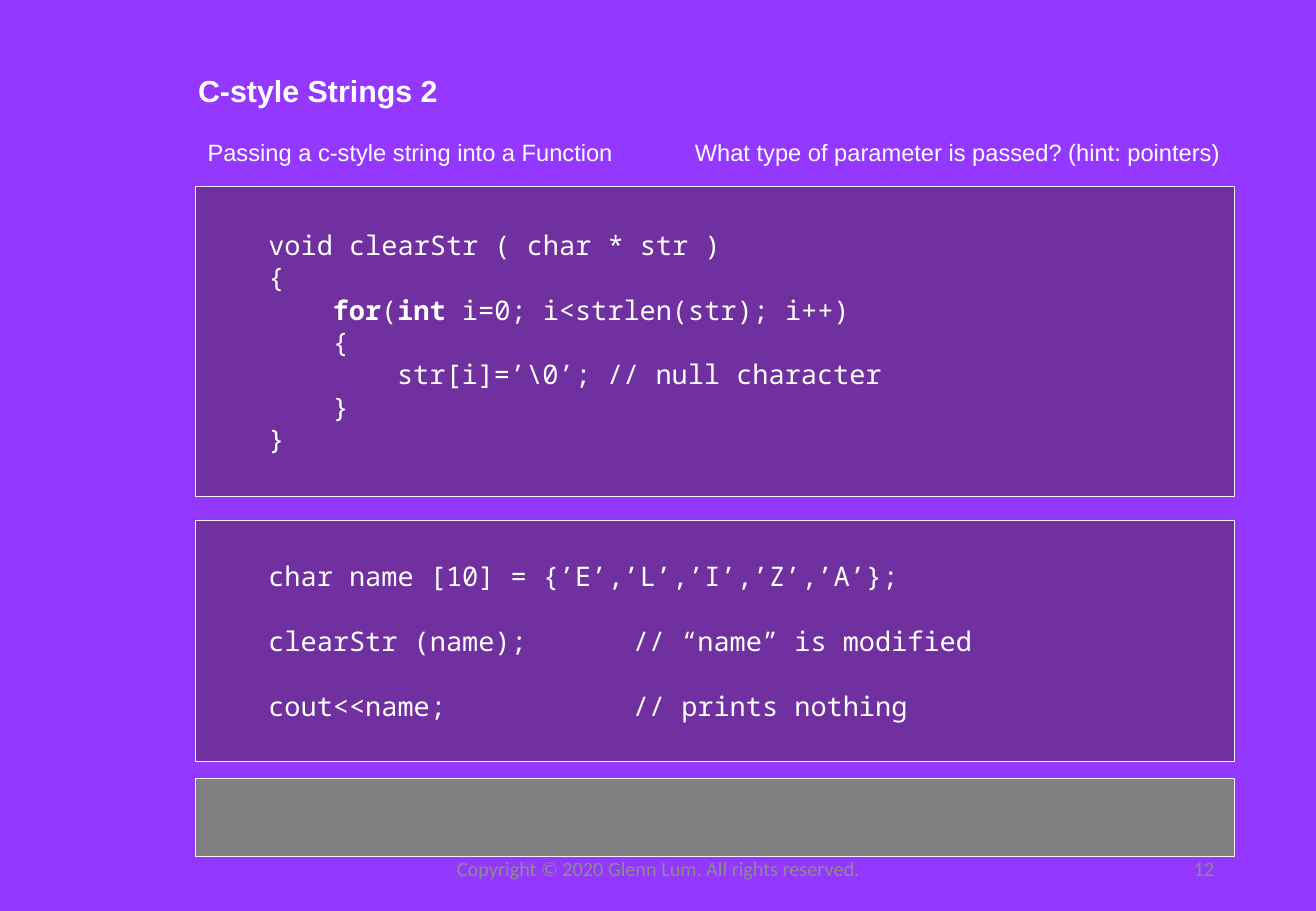
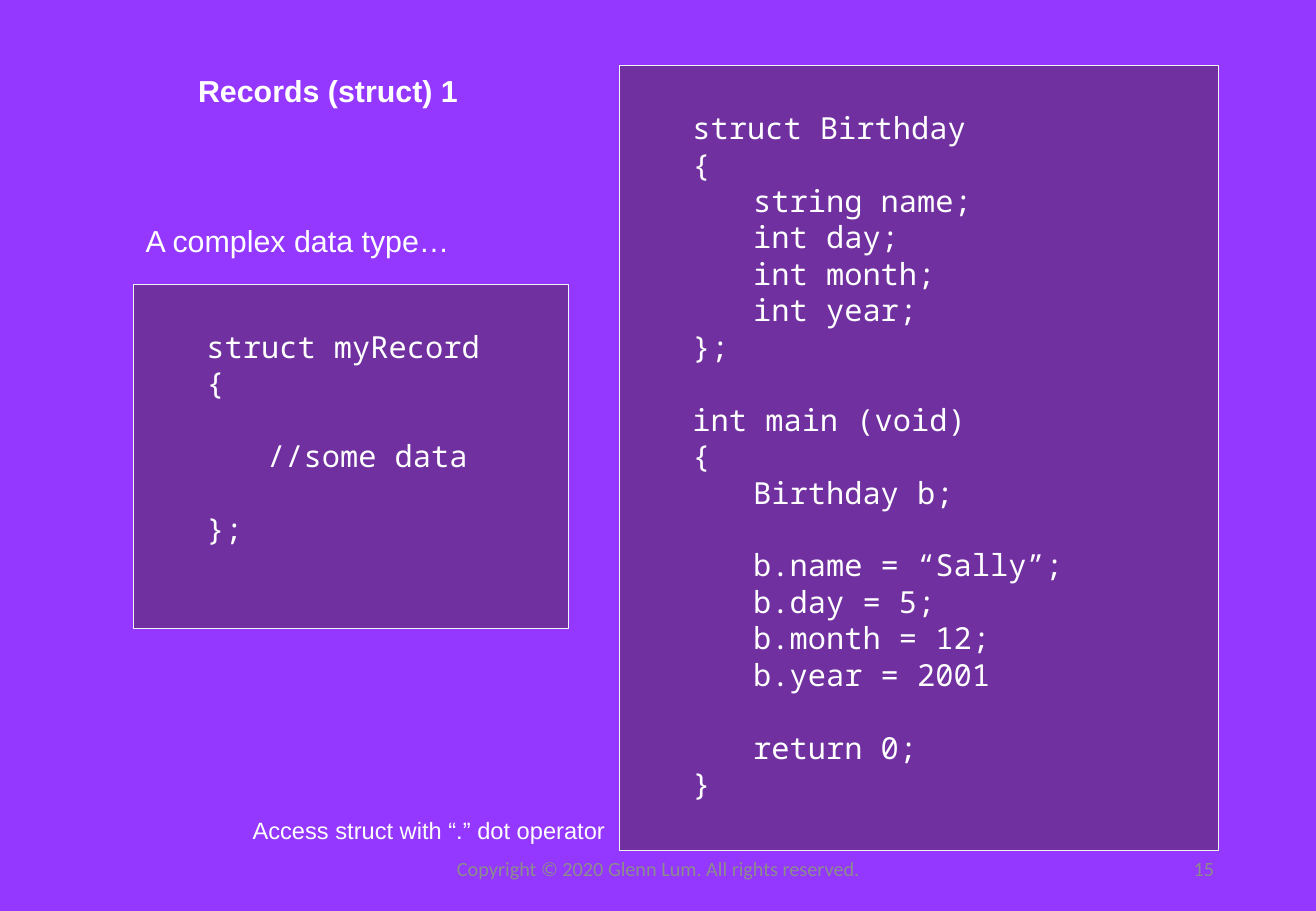
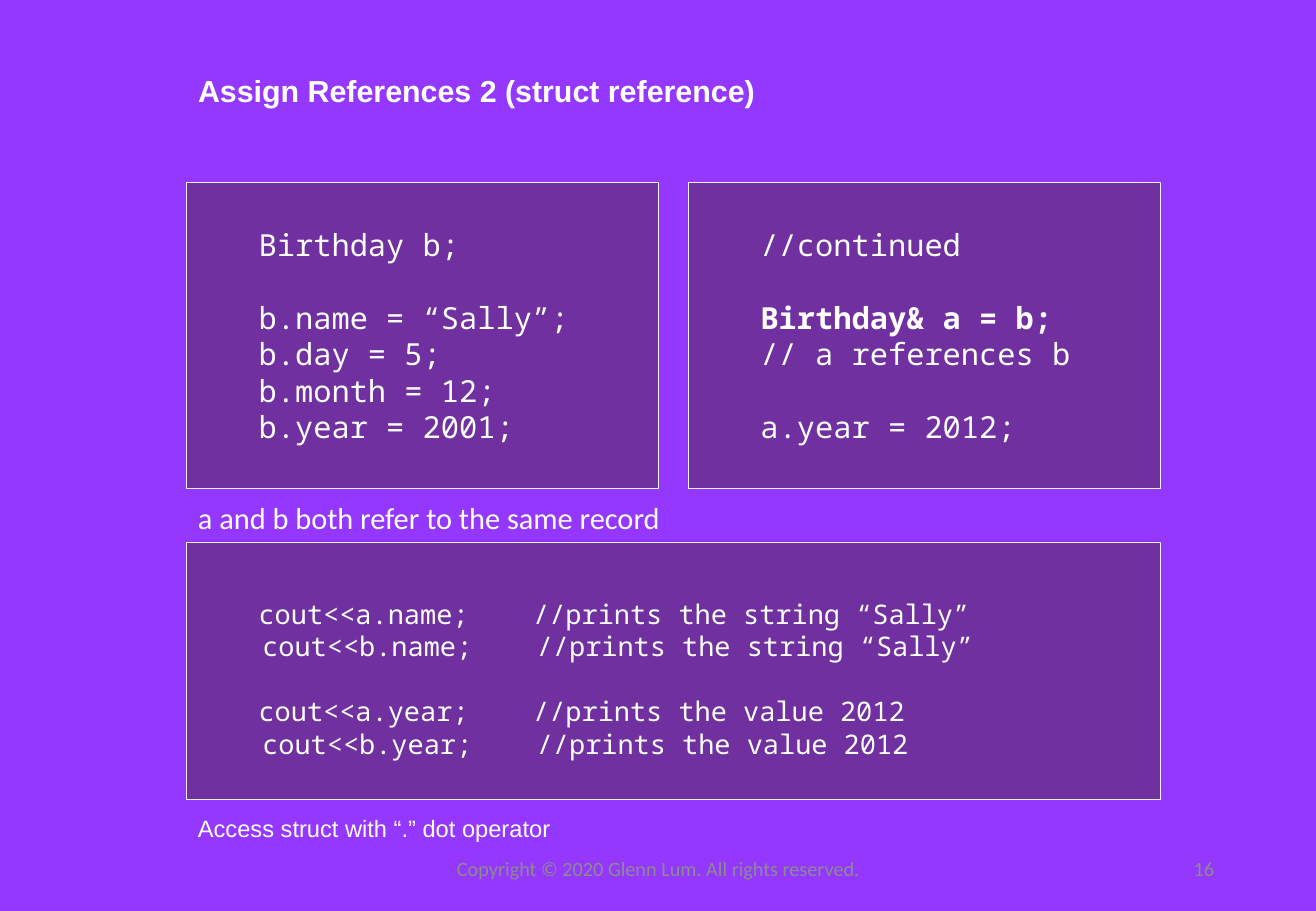
from pptx import Presentation
from pptx.dml.color import RGBColor
from pptx.enum.shapes import MSO_SHAPE
from pptx.enum.text import MSO_ANCHOR, MSO_AUTO_SIZE, PP_ALIGN
from pptx.util import Emu, Pt

RECTANGLE = MSO_SHAPE.RECTANGLE
TOP, MIDDLE = MSO_ANCHOR.TOP, MSO_ANCHOR.MIDDLE
LEFT, CENTER, RIGHT = PP_ALIGN.LEFT, PP_ALIGN.CENTER, PP_ALIGN.RIGHT
GROW = MSO_AUTO_SIZE.SHAPE_TO_FIT_TEXT

PX = 9144
TITLE_ONLY = 5
CODE_INDENT = 50
LINE_HEIGHT = 1.2
CODE_FONT = "Noto Sans Mono"
COPYRIGHT = "Copyright © 2020 Glenn Lum. All rights reserved."
COLORS = {
    "page": "9437FF",
    "code": "7030A0",
    "empty": "808080",
    "outline": "F2F2F2",
    "text": "FFFFFF",
    "footer": "8C8C8C",
}

SLIDES = [
    {
        "title": ("C-style Strings 2", 219),
        "number": "12",
        "labels": [
            ("Passing a c-style string into a Function", 161, 109, 355, 34, 14, "Arial"),
            ("What type of parameter is passed? (hint: pointers)", 562, 109, 454, 34, 14, "Arial"),
        ],
        "panels": [
            ((161, 153, 855, 256), "code", 16, 35, 53, [
                "void clearStr ( char * str )",
                "{",
                "\t**for**(**int **i=0; i<strlen(str); i++)",
                "\t{",
                "\t\tstr[i]=’\\0’; // null character",
                "\t}",
                "}",
            ]),
            ((161, 428, 855, 199), "code", 16, 33, 53, [
                "char name [10] = {’E’,’L’,’I’,’Z’,’A’};",
                "",
                "clearStr (name);\t\t// “name” is modified",
                "",
                "cout<<name; \t\t\t// prints nothing",
            ]),
            ((161, 641, 855, 64), "empty", 16, 5, 53, []),
        ],
    },
    {
        "title": ("Records (struct) 1", 236),
        "number": "15",
        "labels": [
            ("A complex data type…", 110, 178, 273, 40, 18, "Arial"),
            ("Access struct with “.” dot operator", 198, 667, 312, 34, 14, "Arial"),
        ],
        "panels": [
            ((510, 54, 493, 646), "code", 18, 36, 50, [
                "struct Birthday",
                "{",
                "\tstring name;",
                "\tint day;",
                "\tint month;",
                "\tint year;",
                "};",
                "",
                "int main (void)",
                "{",
                "\tBirthday b;",
                "",
                "\tb.name = “Sally”;",
                "\tb.day = 5;",
                "\tb.month = 12;",
                "\tb.year = 2001",
                "",
                "\treturn 0;",
                "}",
            ]),
            ((110, 234, 358, 283), "code", 18, 36, 50, [
                "struct myRecord",
                "{",
                "",
                "\t//some data",
                "",
                "};",
            ]),
        ],
    },
    {
        "title": ("Assign References 2 (struct reference)", 483),
        "number": "16",
        "labels": [
            ("a and b both refer to the same record", 153, 406, 405, 40, 18, "Calibri"),
            ("Access struct with “.” dot operator", 153, 665, 312, 34, 14, "Arial"),
        ],
        "panels": [
            ((153, 150, 389, 252), "code", 18, 36, 50, [
                "Birthday b;",
                "",
                "b.name = “Sally”;",
                "b.day = 5;",
                "b.month = 12;",
                "b.year = 2001;",
            ]),
            ((566, 150, 389, 252), "code", 18, 36, 50, [
                "//continued",
                "",
                "**Birthday& a = b;**",
                "// a references b",
                "",
                "a.year = 2012;",
            ]),
            ((153, 446, 802, 212), "code", 16, 46, 3, [
                "cout<<a.name;    //prints the string “Sally”",
                "\tcout<<b.name;    //prints the string “Sally”",
                "",
                "cout<<a.year;    //prints the value 2012",
                "\tcout<<b.year;    //prints the value 2012",
            ]),
        ],
    },
]


def write(para, text, font, size, color="text", align=LEFT):
    para.alignment = align
    for index, part in enumerate(text.split("**")):
        if part:
            span = para.add_run()
            span.text = part
            span.font.name = font
            span.font.size = Pt(size)
            span.font.bold = index % 2 == 1
            span.font.color.rgb = RGBColor.from_string(COLORS[color])


def place(box, left, top, width, height):
    box.left, box.top = Emu(left * PX), Emu(top * PX)
    box.width, box.height = Emu(width * PX), Emu(height * PX)
    return box.text_frame


deck = Presentation()
deck.slide_width, deck.slide_height = Emu(1083 * PX), Emu(750 * PX)
backdrop = deck.slide_master.background.fill
backdrop.solid()
backdrop.fore_color.rgb = RGBColor.from_string(COLORS["page"])

for content in SLIDES:
    page = deck.slides.add_slide(deck.slide_layouts[TITLE_ONLY])
    title, title_width = content["title"]
    frame = place(page.shapes.title, 153, 54, title_width, 40)
    frame.word_wrap = False
    frame.auto_size = GROW
    frame.vertical_anchor = TOP
    write(frame.paragraphs[0], f"**{title}**", "Arial", 18)

    for bounds, fill, size, inset, step, lines in content["panels"]:
        panel = page.shapes.add_shape(RECTANGLE, 0, 0, 0, 0)
        frame = place(panel, *bounds)
        panel.shadow.inherit = False
        panel.fill.solid()
        panel.fill.fore_color.rgb = RGBColor.from_string(COLORS[fill])
        panel.line.color.rgb = RGBColor.from_string(COLORS["outline"])
        panel.line.width = Pt(0.25)
        frame.vertical_anchor = TOP
        frame.margin_top = Emu(inset * PX)
        para = frame.paragraphs[0]
        gap = 0
        for index, line in enumerate(lines):
            if not line:
                gap = size * LINE_HEIGHT
                continue
            if index:
                para = frame.add_paragraph()
            code = line.lstrip("\t")
            level = len(line) - len(code)
            properties = para._p.get_or_add_pPr()
            properties.set("marL", str((CODE_INDENT + level * step) * PX))
            properties.set("indent", "0")
            para.space_before = Pt(gap)
            write(para, code, CODE_FONT, size)
            gap = 0

    for text, left, top, width, height, size, font in content["labels"]:
        label = page.shapes.add_textbox(0, 0, 0, 0)
        frame = place(label, left, top, width, height)
        frame.word_wrap = False
        frame.auto_size = GROW
        write(frame.paragraphs[0], text, font, size)

    footers = [(COPYRIGHT, 359, 366, CENTER), (content["number"], 765, 244, RIGHT)]
    for text, left, width, align in footers:
        footer = page.shapes.add_textbox(0, 0, 0, 0)
        frame = place(footer, left, 695, width, 40)
        frame.word_wrap = True
        frame.vertical_anchor = MIDDLE
        write(frame.paragraphs[0], text, "Calibri", 12, "footer", align)

deck.save("out.pptx")
